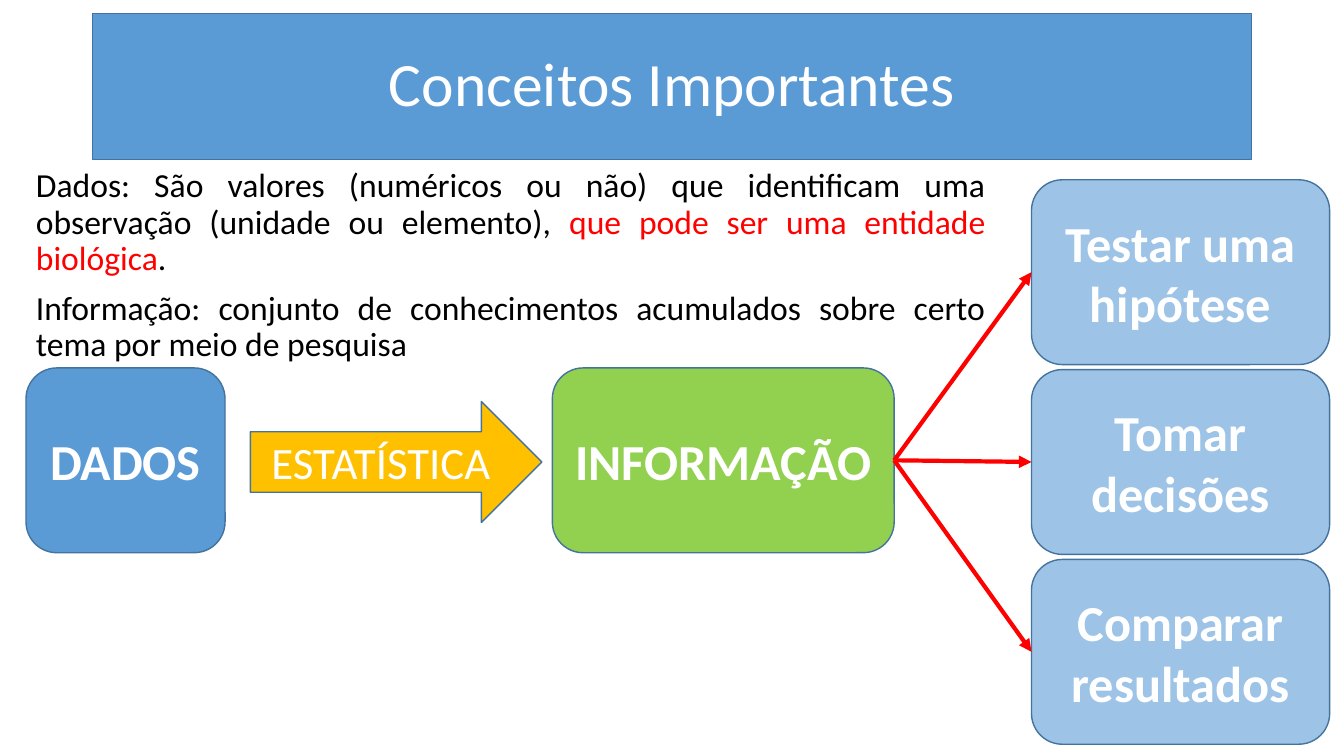
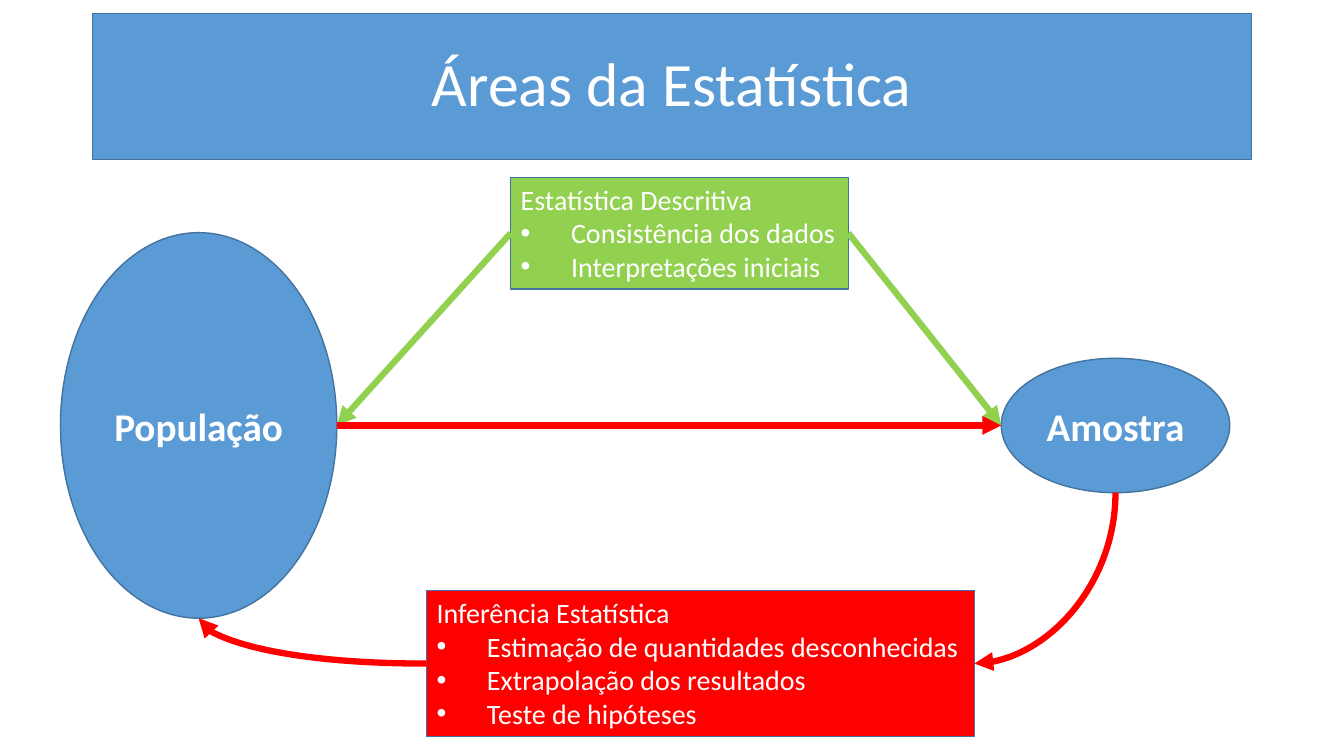
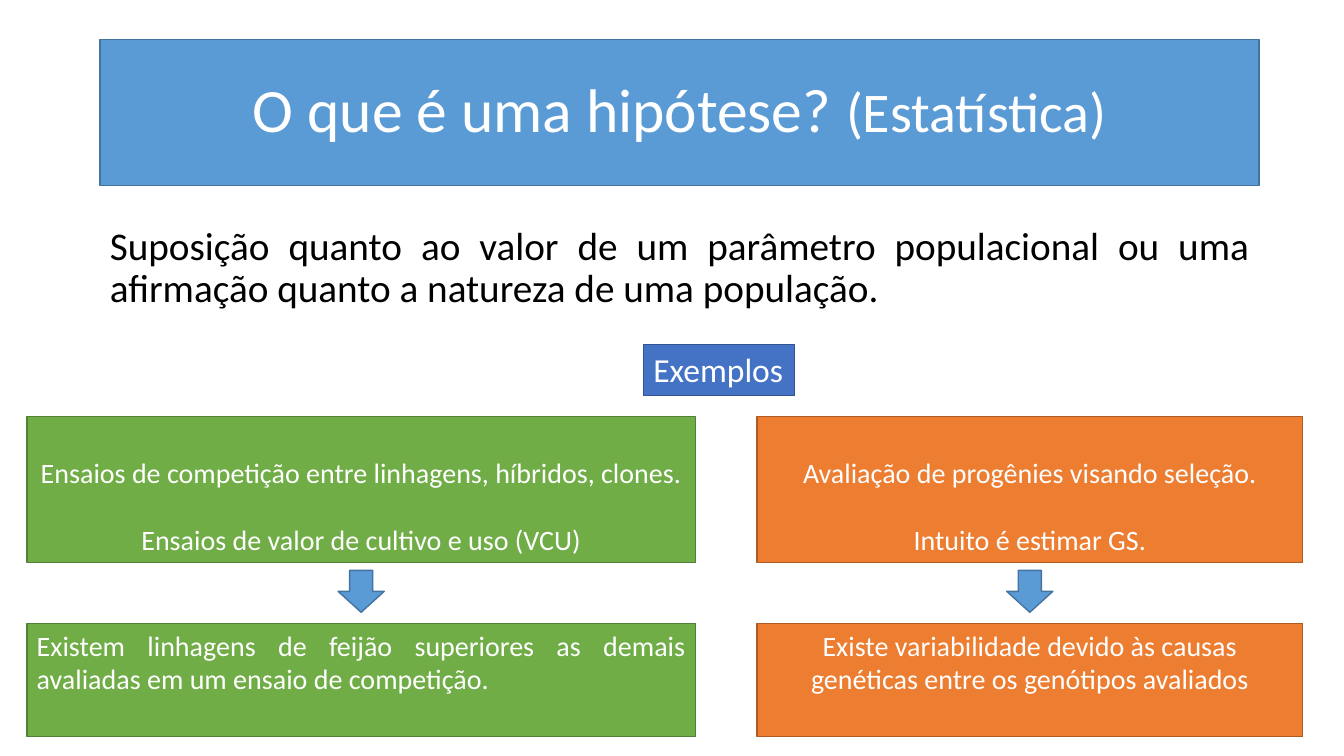
from lxml.etree import SubElement
from pptx import Presentation
from pptx.dml.color import RGBColor
from pptx.enum.shapes import MSO_CONNECTOR as Link, MSO_SHAPE as Shape
from pptx.enum.text import MSO_ANCHOR as Anchor, MSO_AUTO_SIZE as AutoSize, PP_ALIGN as Align
from pptx.oxml.ns import qn
from pptx.util import Inches, Pt

COLUMNS, ROWS = 160, 90
WIDTH, HEIGHT = Inches(13.333), Inches(7.5)

WHITE = RGBColor(0xFF, 0xFF, 0xFF)
BLACK = RGBColor(0x00, 0x00, 0x00)
RED = RGBColor(0xFF, 0x00, 0x00)
BLUE = RGBColor(0x5B, 0x9B, 0xD5)
BLUE_EDGE = RGBColor(0x43, 0x73, 0x9E)
PALE_BLUE = RGBColor(0x9D, 0xC3, 0xE6)
ROYAL = RGBColor(0x44, 0x72, 0xC4)
ROYAL_EDGE = RGBColor(0x32, 0x54, 0x91)
LIME = RGBColor(0x92, 0xD0, 0x50)
GOLD = RGBColor(0xFF, 0xC0, 0x00)
GREEN = RGBColor(0x70, 0xAD, 0x47)
GREEN_EDGE = RGBColor(0x53, 0x80, 0x35)
ORANGE = RGBColor(0xED, 0x7D, 0x31)
ORANGE_EDGE = RGBColor(0xAF, 0x5C, 0x24)

SIDES = ("top", "left", "bottom", "right")


def anchor_point(box, side):
    """Middle of one side of a box."""
    middle_x, middle_y = box.left + box.width // 2, box.top + box.height // 2
    return {
        "top": (middle_x, box.top),
        "left": (box.left, middle_y),
        "bottom": (middle_x, box.top + box.height),
        "right": (box.left + box.width, middle_y),
    }[side]


class Slides:
    """The shared style, and the page being filled on a 160 by 90 grid."""

    font = "Calibri"

    def __init__(self):
        self.deck = Presentation()
        self.deck.slide_width, self.deck.slide_height = WIDTH, HEIGHT
        self.page = None

    def start(self, title, column=11, row=1.6):
        self.page = self.deck.slides.add_slide(self.deck.slide_layouts[6])
        self.box((column, row, 138, 17.4), [title], size=44, leading=0.9)

    def place(self, area):
        """Grid cells (column, row, columns, rows) as slide lengths."""
        column, row, columns, rows = area
        return (round(column * WIDTH / COLUMNS), round(row * HEIGHT / ROWS),
                round(columns * WIDTH / COLUMNS), round(rows * HEIGHT / ROWS))

    def fill_text(self, box, paragraphs, size, color=WHITE, bold=False,
                  align=Align.CENTER, leading=None, gap=0, bullets=False):
        """Fill a box; a paragraph is a string or a list of (text, font changes)."""
        frame = box.text_frame
        for index, content in enumerate(paragraphs):
            para = frame.add_paragraph() if index else frame.paragraphs[0]
            para.alignment = align
            if leading:
                para.line_spacing = leading
            if index and gap:
                para.space_before = Pt(gap)
            if index and bullets:
                self.bullet(para)
            para.font.name, para.font.size = self.font, Pt(size)
            para.font.bold, para.font.color.rgb = bold, color
            for text, changes in [(content, {})] if isinstance(content, str) else content:
                span = para.add_run()
                span.text = text
                if "color" in changes:
                    span.font.color.rgb = changes["color"]
                if "size" in changes:
                    span.font.size = Pt(changes["size"])

    def bullet(self, para):
        props = para._p.get_or_add_pPr()
        props.set("marL", str(Inches(0.5)))
        props.set("indent", str(-Inches(0.5)))
        SubElement(props, qn("a:buFont"), typeface="Arial")
        SubElement(props, qn("a:buChar"), char="•")

    def box(self, area, paragraphs=(), kind=Shape.RECTANGLE, fill=BLUE, edge=BLUE_EDGE,
            size=20, anchor=Anchor.MIDDLE, fit=False, **style):
        box = self.page.shapes.add_shape(kind, *self.place(area))
        box.shadow.inherit = False
        box.fill.solid()
        box.fill.fore_color.rgb = fill
        box.line.color.rgb, box.line.width = edge, Pt(1)
        frame = box.text_frame
        frame.word_wrap, frame.vertical_anchor = not fit, anchor
        if fit:
            frame.auto_size = AutoSize.SHAPE_TO_FIT_TEXT
        self.fill_text(box, paragraphs, size, **style)
        return box

    def body(self, area, paragraphs, size):
        box = self.page.shapes.add_textbox(*self.place(area))
        box.text_frame.word_wrap = True
        self.fill_text(box, paragraphs, size, BLACK, align=Align.JUSTIFY, leading=0.9, gap=10)

    def bullet_card(self, area, paragraphs, fill):
        return self.box(area, paragraphs, fill=fill, anchor=Anchor.TOP, fit=True,
                        align=Align.LEFT, bullets=True)

    def arrow(self, start, start_side, end, end_side, color=RED, width=4.5,
              curved=False, arrowhead="tailEnd"):
        """Link two boxes; a curve leaves its start sideways."""
        link = self.page.shapes.add_connector(
            Link.CURVE if curved else Link.STRAIGHT,
            *anchor_point(start, start_side), *anchor_point(end, end_side))
        link.line.color.rgb, link.line.width = color, Pt(width)
        props = link._element.spPr
        if curved:
            props.find(qn("a:prstGeom")).set("prst", "curvedConnector2")
        SubElement(props.find(qn("a:ln")), qn(f"a:{arrowhead}"), type="triangle")
        SubElement(props, qn("a:effectLst"))
        joints = link._element.find(".//" + qn("p:cNvCxnSpPr"))
        for tag, box, side in (("a:stCxn", start, start_side), ("a:endCxn", end, end_side)):
            step = 2 if box.auto_shape_type == Shape.OVAL else 1
            SubElement(joints, qn(tag), id=str(box.shape_id),
                       idx=str(SIDES.index(side) * step))


def concepts(slides):
    slides.start("Conceitos Importantes")
    slides.body((3.1, 19.5, 115.4, 16.4), [
        [("Dados: São valores (numéricos ou não) que identificam uma observação "
          "(unidade ou elemento), ", {}),
         ("que pode ser uma entidade biológica", {"color": RED}),
         (".", {})],
        "Informação: conjunto de conhecimentos acumulados sobre certo tema por meio de pesquisa",
    ], 24)
    card = dict(kind=Shape.ROUNDED_RECTANGLE, size=36, bold=True)
    slides.box((3.1, 43.8, 23.7, 22), ["DADOS"], **card)
    information = slides.box((65.75, 43.8, 40.7, 22), ["INFORMAÇÃO"], fill=LIME, **card)
    slides.box((29.8, 47.8, 34.7, 14.4), ["ESTATÍSTICA"], Shape.RIGHT_ARROW, GOLD, size=32)
    uses = ("Testar uma hipótese", "Tomar decisões", "Comparar resultados")
    outcomes = [slides.box((122.8, 21.4 + 22.6 * index, 35.5, 22), [use], fill=PALE_BLUE, **card)
                for index, use in enumerate(uses)]
    for outcome in outcomes:
        slides.arrow(information, "right", outcome, "left", width=3)


def areas(slides):
    slides.start("Áreas da Estatística")
    oval = dict(kind=Shape.OVAL, size=28, bold=True)
    population = slides.box((7.2, 27.7, 32.9, 45.9), ["População"], **oval)
    sample = slides.box((119.2, 42.65, 27.2, 16), ["Amostra"], **oval)
    descriptive = slides.bullet_card((60.8, 21.1, 40.2, 13.3), [
        "Estatística Descritiva", "Consistência dos dados", "Interpretações iniciais"], LIME)
    inference = slides.bullet_card((50.8, 70.3, 65.2, 17.4), [
        "Inferência Estatística", "Estimação de quantidades desconhecidas",
        "Extrapolação dos resultados", "Teste de hipóteses"], RED)
    slides.arrow(descriptive, "left", population, "right", LIME)
    slides.arrow(descriptive, "right", sample, "left", LIME)
    slides.arrow(population, "right", sample, "left")
    slides.arrow(inference, "right", sample, "bottom", curved=True, arrowhead="headEnd")
    slides.arrow(inference, "left", population, "bottom", curved=True)


def hypothesis(slides):
    slides.start([("O que é uma hipótese? ", {}), ("(Estatística)", {"size": 40})], 11.9, 4.7)
    slides.body((11.9, 26.4, 138, 12), [
        "Suposição quanto ao valor de um parâmetro populacional ou uma afirmação "
        "quanto a natureza de uma população."], 28)
    slides.box((76.6, 41, 18, 6.1), ["Exemplos"], fill=ROYAL, edge=ROYAL_EDGE, size=24,
               anchor=Anchor.TOP, fit=True, align=Align.JUSTIFY)
    examples = (
        (3.2, 79.6, GREEN, GREEN_EDGE, Align.JUSTIFY,
         ["Ensaios de competição entre linhagens, híbridos, clones.",
          "Ensaios de valor de cultivo e uso (VCU)"],
         "Existem linhagens de feijão superiores as demais avaliadas em um ensaio de competição."),
        (90.1, 65, ORANGE, ORANGE_EDGE, Align.CENTER,
         ["Avaliação de progênies visando seleção.", "Intuito é estimar GS."],
         "Existe variabilidade devido às causas genéticas entre os genótipos avaliados"),
    )
    for column, columns, fill, edge, align, trials, claim in examples:
        colors = dict(fill=fill, edge=edge, anchor=Anchor.TOP)
        slides.box((column, 49.6, columns, 17.4), trials, leading=2.0, **colors)
        slides.box((column, 74.2, columns, 13.5), [claim], align=align, **colors)
        slides.box((column + columns / 2 - 2.75, 67.9, 5.5, 5), kind=Shape.DOWN_ARROW)


def main():
    slides = Slides()
    for build in (concepts, areas, hypothesis):
        build(slides)
    slides.deck.save("out.pptx")


if __name__ == "__main__":
    main()
